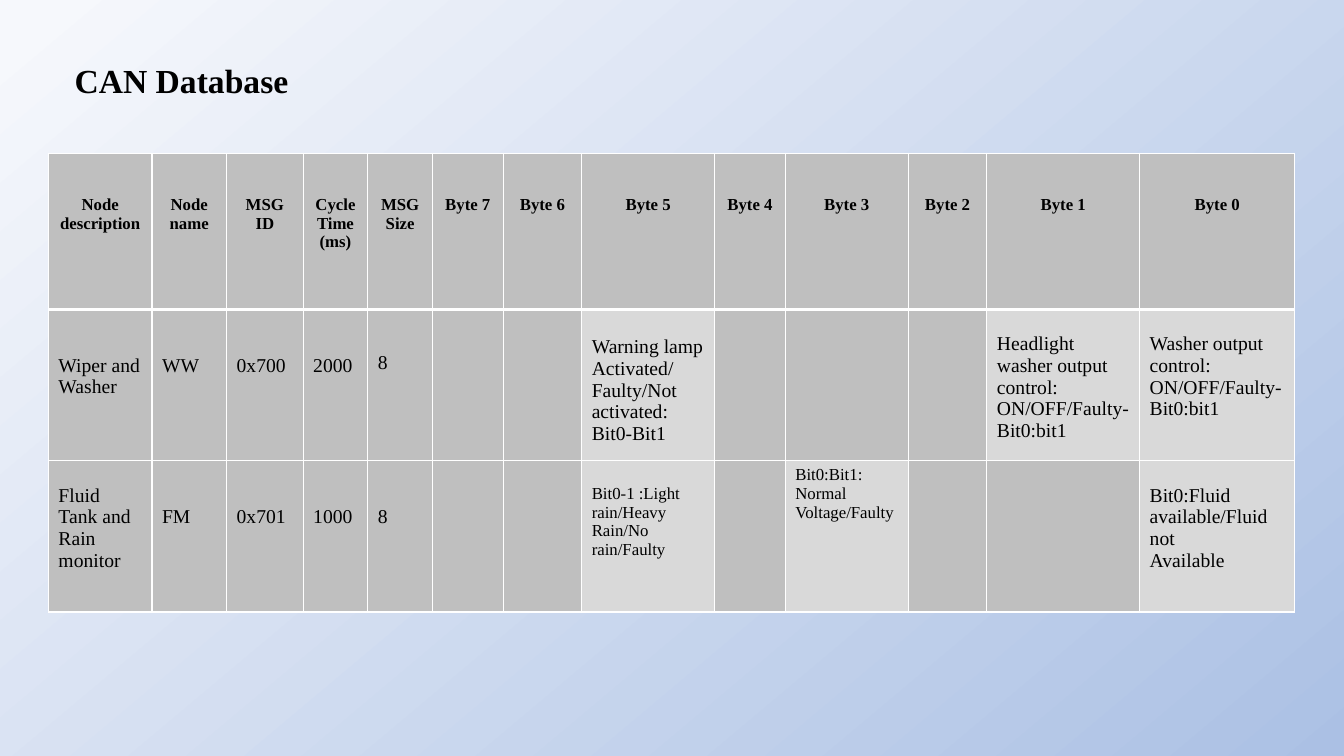
from lxml import etree
from pptx import Presentation
from pptx.dml.color import RGBColor
from pptx.enum.text import PP_ALIGN
from pptx.oxml.ns import qn
from pptx.util import Cm, Pt

CENTER, LEFT = PP_ALIGN.CENTER, PP_ALIGN.LEFT
BLACK = RGBColor(0x00, 0x00, 0x00)
WHITE = RGBColor(0xFF, 0xFF, 0xFF)
GRAY = RGBColor(0xBF, 0xBF, 0xBF)
LIGHT_GRAY = RGBColor(0xD9, 0xD9, 0xD9)
BG_START = RGBColor(0xF6, 0xF8, 0xFC)
BG_END = RGBColor(0xAB, 0xC0, 0xE4)
FONT = "Times New Roman"

COL_WIDTHS = [2.61, 1.88, 1.93, 1.63, 1.63, 1.78, 1.98,
              3.35, 1.78, 3.1, 1.98, 3.85, 3.91]
ROW_HEIGHTS = [3.94, 3.81, 3.81]
HEADERS = ["Node description", "Node name", "MSG ID", "Cycle Time (ms)", "MSG Size",
           "Byte 7", "Byte 6", "Byte 5", "Byte 4", "Byte 3", "Byte 2", "Byte 1", "Byte 0"]
HEADER_TOP = 1.07
NODE_TOP = 1.14
SIGNAL_TOP = 0.6

# (row, column): (paragraphs, font size, top margin in cm)
NODES = {
    (1, 0): (["Wiper and Washer"], 14, NODE_TOP),
    (1, 1): (["WW"], 14, NODE_TOP),
    (1, 2): (["0x700"], 14, NODE_TOP),
    (1, 3): (["2000"], 14, NODE_TOP),
    (1, 4): (["8"], 14, HEADER_TOP),
    (2, 0): (["Fluid Tank and Rain monitor"], 14, SIGNAL_TOP),
    (2, 1): (["FM"], 14, NODE_TOP),
    (2, 2): (["0x701"], 14, NODE_TOP),
    (2, 3): (["1000"], 14, NODE_TOP),
    (2, 4): (["8"], 14, NODE_TOP),
}
SIGNALS = {
    (1, 7): (["Warning lamp", "Activated/Faulty/Not activated:", "Bit0-Bit1"], 14, 0.68),
    (1, 11): (["Headlight washer output control:", "ON/OFF/Faulty-Bit0:bit1"], 14, SIGNAL_TOP),
    (1, 12): (["Washer output control:", "ON/OFF/Faulty-Bit0:bit1"], 14, SIGNAL_TOP),
    (2, 7): (["Bit0-1 :Light rain/Heavy Rain/No rain/Faulty"], 12, SIGNAL_TOP),
    (2, 9): (["Bit0:Bit1: Normal", "Voltage/Faulty"], 12, 0.13),
    (2, 12): (["Bit0:Fluid", "available/Fluid not", "Available"], 14, SIGNAL_TOP),
}


def write(tf, lines, size, bold=False, align=LEFT):
    """Fill a text frame with one paragraph per line."""
    font_format = {"name": FONT, "size": Pt(size), "bold": bold}
    for i, line in enumerate(lines):
        p = tf.paragraphs[0] if i == 0 else tf.add_paragraph()
        p.alignment = align
        r = p.add_run()
        r.text = line
        for name, value in font_format.items():
            setattr(r.font, name, value)
        r.font.color.rgb = BLACK


def format_cell(cell, fill, widths):
    """Set a cell's fill and its white borders, given in points by side."""
    tcPr = cell._tc.get_or_add_tcPr()
    for side, width in widths.items():
        ln = etree.SubElement(tcPr, qn(f"a:ln{side}"), w=str(Pt(width)))
        solid = etree.SubElement(ln, qn("a:solidFill"))
        etree.SubElement(solid, qn("a:srgbClr"), val=str(WHITE))
    cell.fill.solid()
    cell.fill.fore_color.rgb = fill


prs = Presentation()
prs.slide_width, prs.slide_height = Cm(33.87), Cm(19.05)
s = prs.slides.add_slide(prs.slide_layouts[6])

# Background
bg = s.background.fill
bg.gradient()
bg.gradient_angle = 310
for stop, (position, color) in zip(bg.gradient_stops, [(0.02, BG_START), (1, BG_END)]):
    stop.position = position
    stop.color.rgb = color

# Message table
table = s.shapes.add_table(len(ROW_HEIGHTS), len(COL_WIDTHS), Cm(1.22), Cm(3.86),
                           Cm(sum(COL_WIDTHS)), Cm(sum(ROW_HEIGHTS))).table
table.first_row = table.horz_banding = False
for col, width in zip(table.columns, COL_WIDTHS):
    col.width = Cm(width)
for row, height in zip(table.rows, ROW_HEIGHTS):
    row.height = Cm(height)

cells = {(0, c): ([text], 12, HEADER_TOP) for c, text in enumerate(HEADERS)}
cells.update(NODES)
cells.update(SIGNALS)
for r in range(len(ROW_HEIGHTS)):
    for c in range(len(COL_WIDTHS)):
        cell = table.cell(r, c)
        borders = {"L": 1, "R": 1, "T": 3 if r == 1 else 1, "B": 3 if r == 0 else 1}
        format_cell(cell, LIGHT_GRAY if (r, c) in SIGNALS else GRAY, borders)
        if (r, c) in cells:
            lines, size, top = cells[r, c]
            cell.margin_top = Cm(top)
            write(cell.text_frame, lines, size, r == 0, CENTER if r == 0 else LEFT)

# Title
tf = s.shapes.add_textbox(Cm(1.63), Cm(1.5), Cm(6.1), Cm(1.57)).text_frame
tf.word_wrap = True
write(tf, ["CAN Database"], 24, bold=True)
tf.paragraphs[0].line_spacing = 0.9

prs.save("out.pptx")
